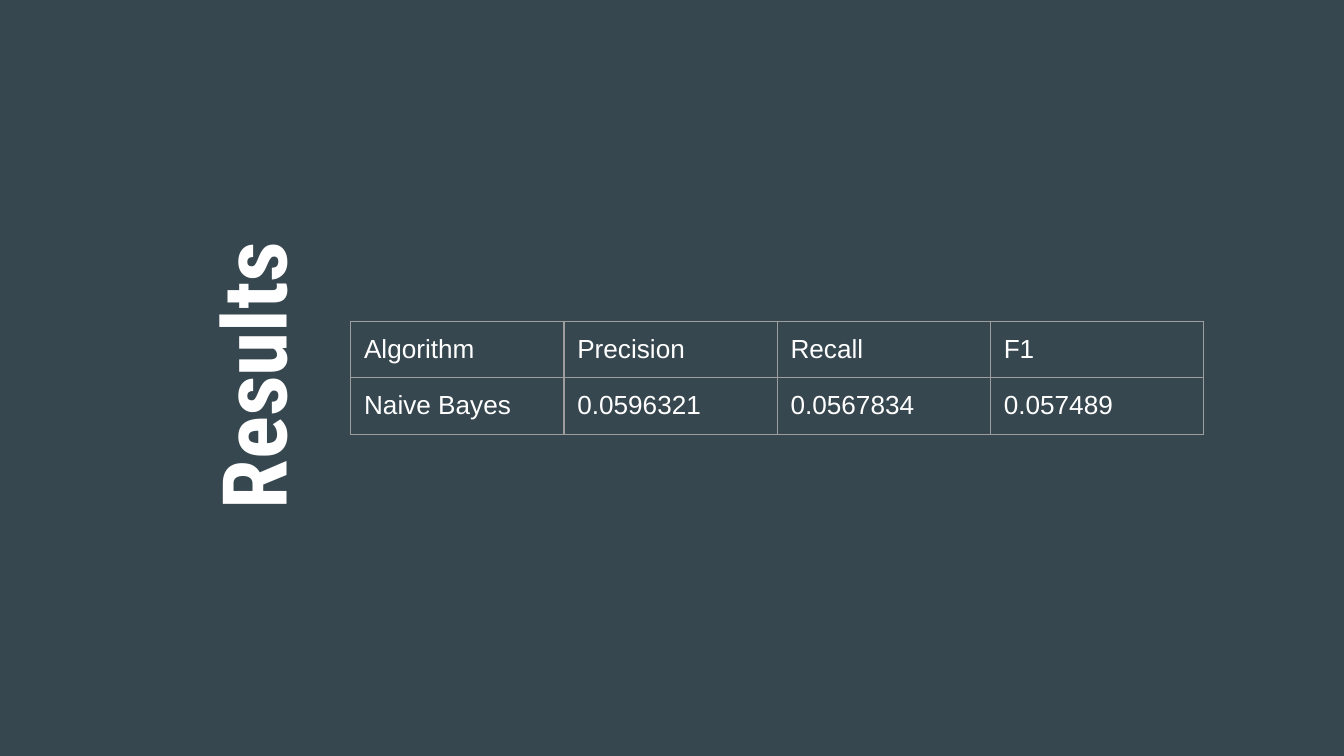
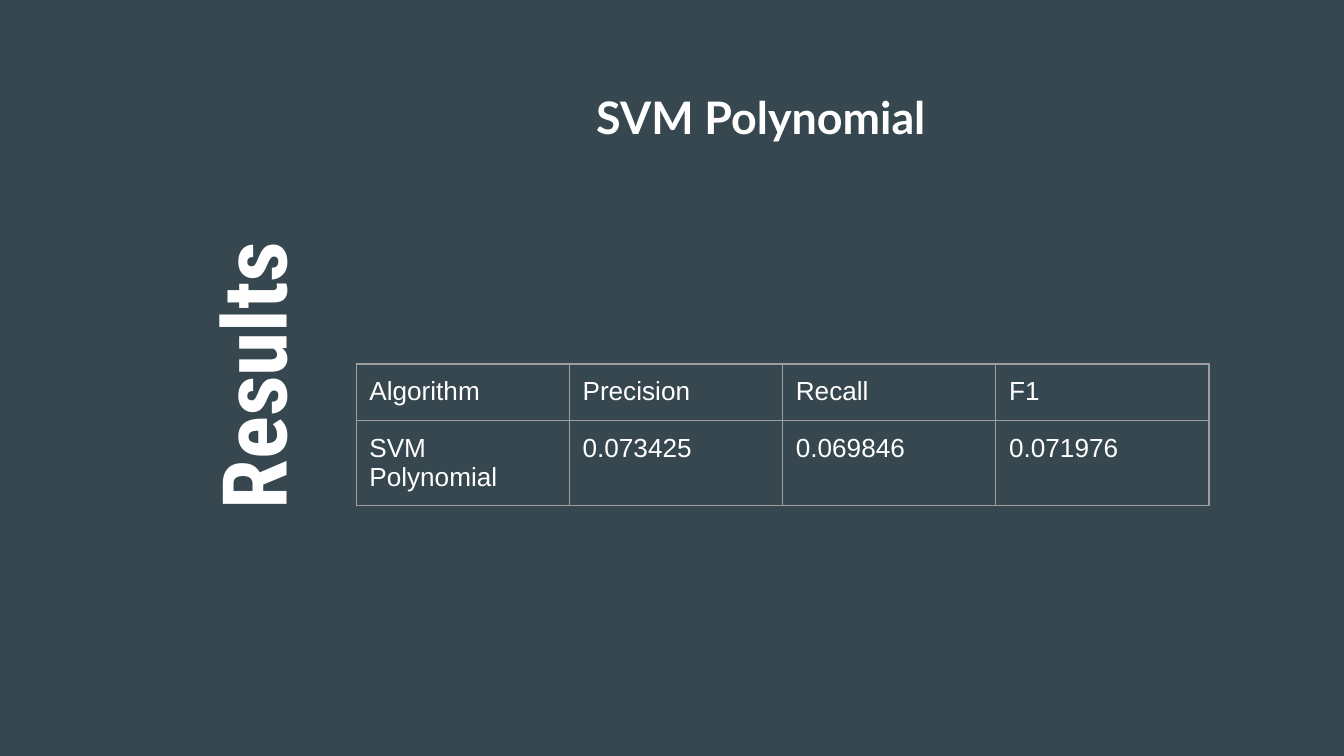
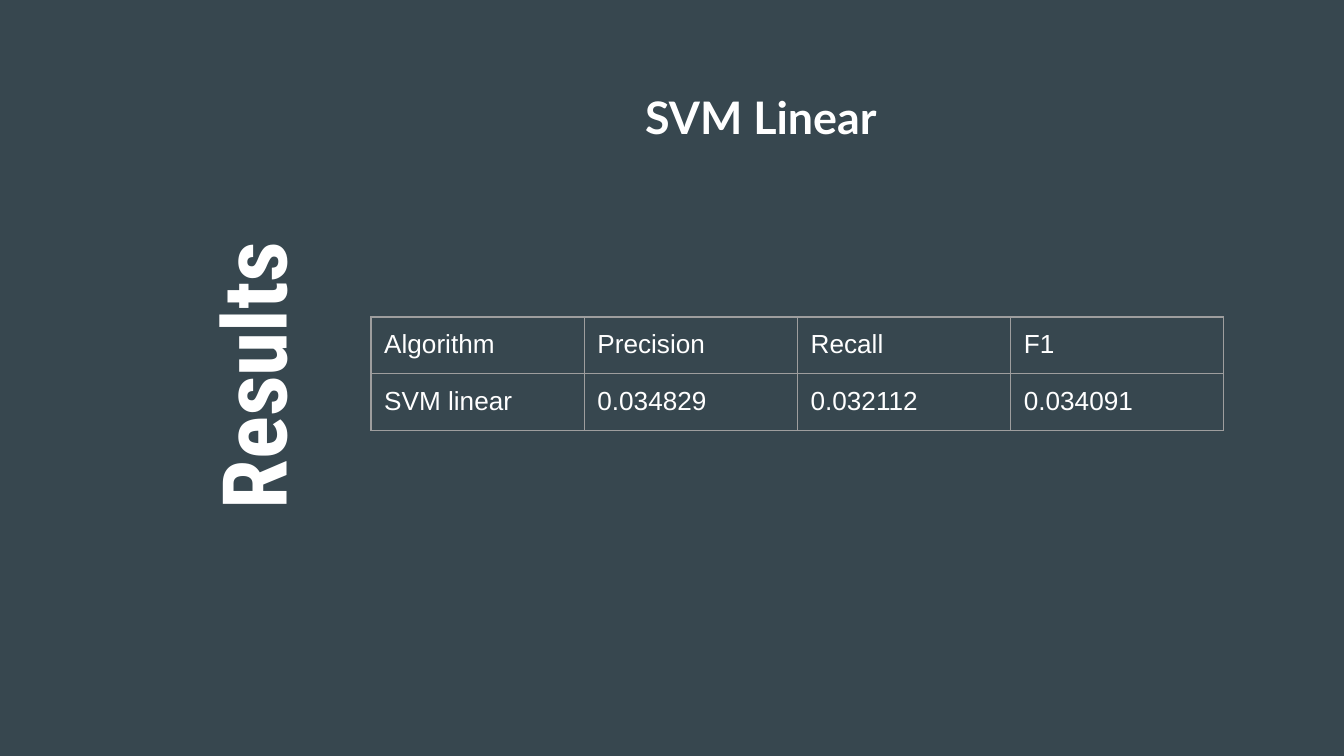
from lxml.etree import SubElement
from pptx import Presentation
from pptx.dml.color import RGBColor
from pptx.enum.text import MSO_ANCHOR, PP_ALIGN
from pptx.oxml.ns import qn
from pptx.util import Cm, Pt

SLATE = RGBColor(0x37, 0x47, 0x4F)
GREY = RGBColor(0x9E, 0x9E, 0x9E)
WHITE = RGBColor(0xFF, 0xFF, 0xFF)
INSET = Cm(0.25)
COLUMN_WIDTH = Cm(4.03)
ROW_HEIGHT = Cm(1.07)
MEASURES = ("Algorithm", "Precision", "Recall", "F1")
RESULTS = (
    (None, Cm(6.63), Cm(6.07), ("Naive Bayes", "0.0596321", "0.0567834", "0.057489")),
    ("SVM Polynomial", Cm(6.73), Cm(6.88), ("SVM Polynomial", "0.073425", "0.069846", "0.071976")),
    ("SVM Linear", Cm(7.01), Cm(5.99), ("SVM linear", "0.034829", "0.032112", "0.034091")),
)


class Deck:
    def __init__(self):
        self.presentation = Presentation()
        self.presentation.slide_width = Cm(25.4)
        self.presentation.slide_height = Cm(14.29)
        backdrop = self.presentation.slide_master.background.fill
        backdrop.solid()
        backdrop.fore_color.rgb = SLATE
        self.slide = None

    def set_text(self, frame, text, font_name, size, bold=False, align=PP_ALIGN.LEFT):
        frame.text = text
        paragraph = frame.paragraphs[0]
        paragraph.alignment = align
        font = paragraph.font
        font.name, font.size, font.bold = font_name, Pt(size), bold
        font.color.rgb = WHITE

    def pad(self, holder):
        holder.margin_left = holder.margin_right = INSET
        holder.margin_top = holder.margin_bottom = INSET

    def add_slide(self, title):
        self.slide = self.presentation.slides.add_slide(self.presentation.slide_layouts[5])
        heading = self.slide.shapes.title
        heading.left, heading.top = Cm(-1.73), Cm(5)
        heading.width, heading.height = Cm(11.28), Cm(4.19)
        heading.rotation = 270
        frame = heading.text_frame
        frame.word_wrap = True
        frame.vertical_anchor = MSO_ANCHOR.BOTTOM
        self.pad(frame)
        self.set_text(frame, title, "Roboto Condensed", 48, True, PP_ALIGN.CENTER)

    def add_subtitle(self, text):
        frame = self.slide.shapes.add_textbox(Cm(4.88), Cm(1.45), Cm(19), Cm(2.21)).text_frame
        frame.word_wrap = True
        self.pad(frame)
        self.set_text(frame, text, "Lato", 24, True, PP_ALIGN.CENTER)

    def outline(self, cell):
        properties = cell._tc.get_or_add_tcPr()
        for side in ("a:lnL", "a:lnR", "a:lnT", "a:lnB"):
            border = SubElement(properties, qn(side), w=str(Pt(0.75)))
            color = SubElement(border, qn("a:solidFill"))
            SubElement(color, qn("a:srgbClr"), val=str(GREY))

    def add_table(self, left, top, rows):
        columns = len(rows[0])
        table = self.slide.shapes.add_table(
            len(rows), columns, left, top, COLUMN_WIDTH * columns, ROW_HEIGHT * len(rows)
        ).table
        table.first_row = table.horz_banding = False
        for row, values in zip(table.rows, rows):
            for cell, value in zip(row.cells, values):
                self.pad(cell)
                self.outline(cell)
                cell.fill.background()
                self.set_text(cell.text_frame, value, "Arial", 14)


def main():
    deck = Deck()
    for subtitle, left, top, scores in RESULTS:
        deck.add_slide("Results")
        deck.add_table(left, top, (MEASURES, scores))
        if subtitle:
            deck.add_subtitle(subtitle)
    deck.presentation.save("out.pptx")


if __name__ == "__main__":
    main()
